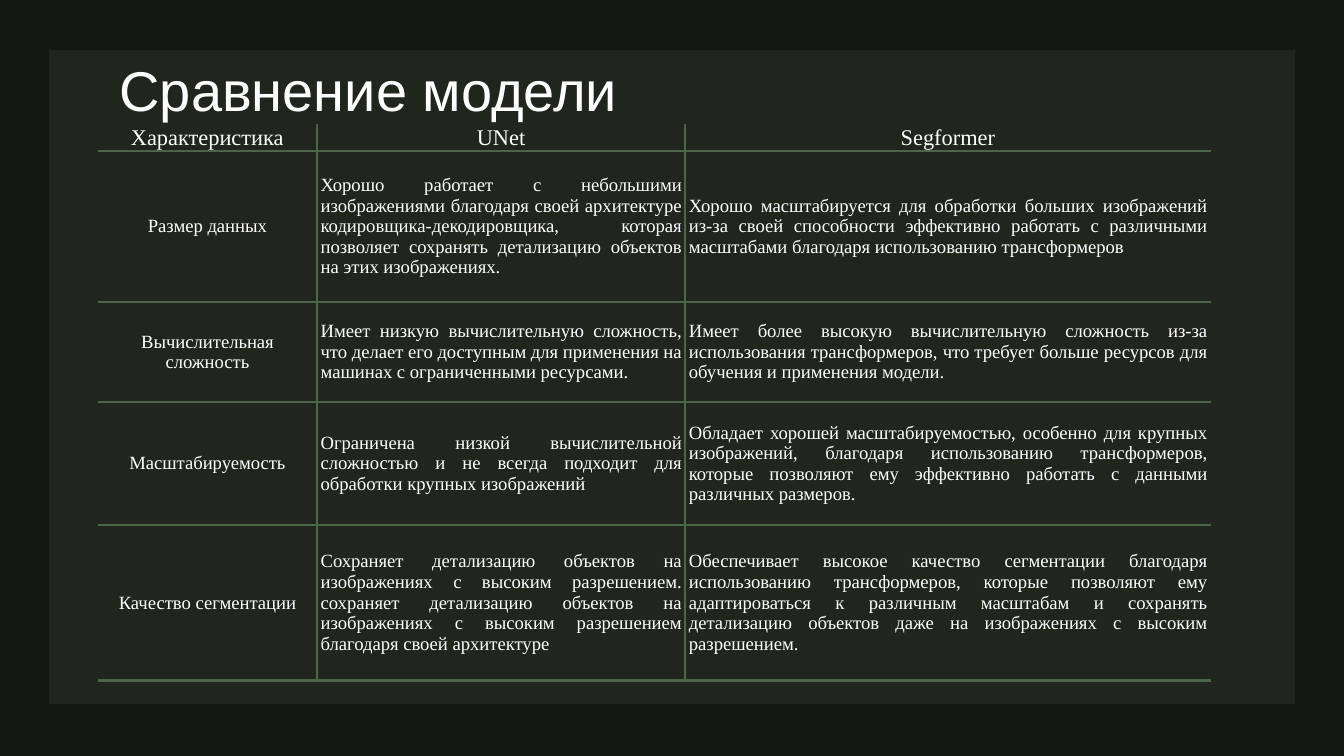
import pptx
import pptx.util
import pptx.dml.color
import pptx.enum.shapes
import pptx.enum.text
import pptx.oxml.ns
import lxml.etree

Cm = pptx.util.Cm
Pt = pptx.util.Pt
RGB = pptx.dml.color.RGBColor
Align = pptx.enum.text.PP_ALIGN
Anchor = pptx.enum.text.MSO_ANCHOR

DARK = RGB(0x14, 0x17, 0x12)
PANEL = RGB(0x20, 0x25, 0x1E)
GREEN = RGB(0x4C, 0x64, 0x48)
WHITE = RGB(0xFF, 0xFF, 0xFF)

COLS = [4.14, 6.96, 9.93]
HEIGHTS = [0.47, 2.86, 1.89, 2.33, 2.93]
ROWS = [
    ["Характеристика", "UNet", "Segformer"],
    ["Размер данных",
     "Хорошо работает с небольшими изображениями благодаря своей архитектуре "
     "кодировщика-декодировщика, которая позволяет сохранять детализацию "
     "объектов на этих изображениях.",
     "Хорошо масштабируется для обработки больших изображений из-за своей "
     "способности эффективно работать с различными масштабами благодаря "
     "использованию трансформеров"],
    ["Вычислительная сложность",
     "Имеет низкую вычислительную сложность, что делает его доступным для "
     "применения на машинах с ограниченными ресурсами.",
     "Имеет более высокую вычислительную сложность из-за использования "
     "трансформеров, что требует больше ресурсов для обучения и применения "
     "модели."],
    ["Масштабируемость",
     "Ограничена низкой вычислительной сложностью и не всегда подходит для "
     "обработки крупных изображений",
     "Обладает хорошей масштабируемостью, особенно для крупных изображений, "
     "благодаря использованию трансформеров, которые позволяют ему эффективно "
     "работать с данными различных размеров."],
    ["Качество сегментации",
     "Сохраняет детализацию объектов на изображениях с высоким разрешением. "
     "сохраняет детализацию объектов на изображениях с высоким разрешением "
     "благодаря своей архитектуре",
     "Обеспечивает высокое качество сегментации благодаря использованию "
     "трансформеров, которые позволяют ему адаптироваться к различным "
     "масштабам и сохранять детализацию объектов даже на изображениях с "
     "высоким разрешением."],
]


def write(frame, text, font="Times New Roman", size=10, color=WHITE,
          align=Align.LEFT):
    para = frame.paragraphs[0]
    para.alignment = align
    run = para.add_run()
    run.text = text
    run.font.name = font
    run.font.size = Pt(size)
    run.font.color.rgb = color


def edge(cell, side, color=None, width=1.5):
    """Draw one cell border, or clear it when no color is given."""
    qn = pptx.oxml.ns.qn
    props = cell._tc.get_or_add_tcPr()
    line = lxml.etree.SubElement(props, qn("a:ln" + side), w=str(Pt(width)))
    if color is None:
        lxml.etree.SubElement(line, qn("a:noFill"))
    else:
        fill = lxml.etree.SubElement(line, qn("a:solidFill"))
        lxml.etree.SubElement(fill, qn("a:srgbClr"), val=str(color))


class Deck:
    def __init__(self, width, height):
        self.show = pptx.Presentation()
        self.show.slide_width = Cm(width)
        self.show.slide_height = Cm(height)
        self.slide = self.show.slides.add_slide(self.show.slide_layouts[6])
        back = self.slide.background.fill
        back.solid()
        back.fore_color.rgb = DARK

    def panel(self, *box):
        shape = self.slide.shapes.add_shape(
            pptx.enum.shapes.MSO_SHAPE.RECTANGLE, *map(Cm, box))
        shape.shadow.inherit = False
        shape.fill.solid()
        shape.fill.fore_color.rgb = PANEL
        shape.line.fill.background()

    def title(self, text, *box):
        frame = self.slide.shapes.add_textbox(*map(Cm, box)).text_frame
        frame.word_wrap = True
        frame.vertical_anchor = Anchor.BOTTOM
        frame.margin_top = 0
        frame.margin_bottom = Cm(0.03)
        write(frame, text, font="Arial", size=30)

    def table(self, left, top, cols, heights, rows):
        grid = self.slide.shapes.add_table(
            len(rows), len(cols), Cm(left), Cm(top),
            Cm(sum(cols)), Cm(sum(heights))).table
        grid.first_row = grid.horz_banding = False
        for col, width in zip(grid.columns, cols):
            col.width = Cm(width)
        for row, height in zip(grid.rows, heights):
            row.height = Cm(height)
        last = len(cols) - 1
        for r, texts in enumerate(rows):
            for c, text in enumerate(texts):
                cell = grid.cell(r, c)
                self.cell(cell, text, head=r == 0, label=c == 0)
                sides = {"L": c > 0, "R": c < last, "T": r > 0, "B": True}
                for side, drawn in sides.items():
                    edge(cell, side, GREEN if drawn else None)
                cell.fill.solid()
                cell.fill.fore_color.rgb = PANEL

    def cell(self, cell, text, head, label):
        cell.margin_left = cell.margin_right = Cm(0.07)
        cell.margin_top = cell.margin_bottom = 0
        cell.vertical_anchor = Anchor.BOTTOM if head else Anchor.MIDDLE
        write(cell.text_frame, text, size=12 if head else 10,
              align=Align.CENTER if head or label else Align.JUSTIFY)


def main():
    deck = Deck(25.4, 14.29)
    deck.panel(0.93, 0.95, 23.55, 12.36)
    deck.title("Сравнение модели", 2.01, 0.76, 21.41, 1.6)
    deck.table(1.85, 2.34, COLS, HEIGHTS, ROWS)
    deck.show.save("out.pptx")


if __name__ == "__main__":
    main()
